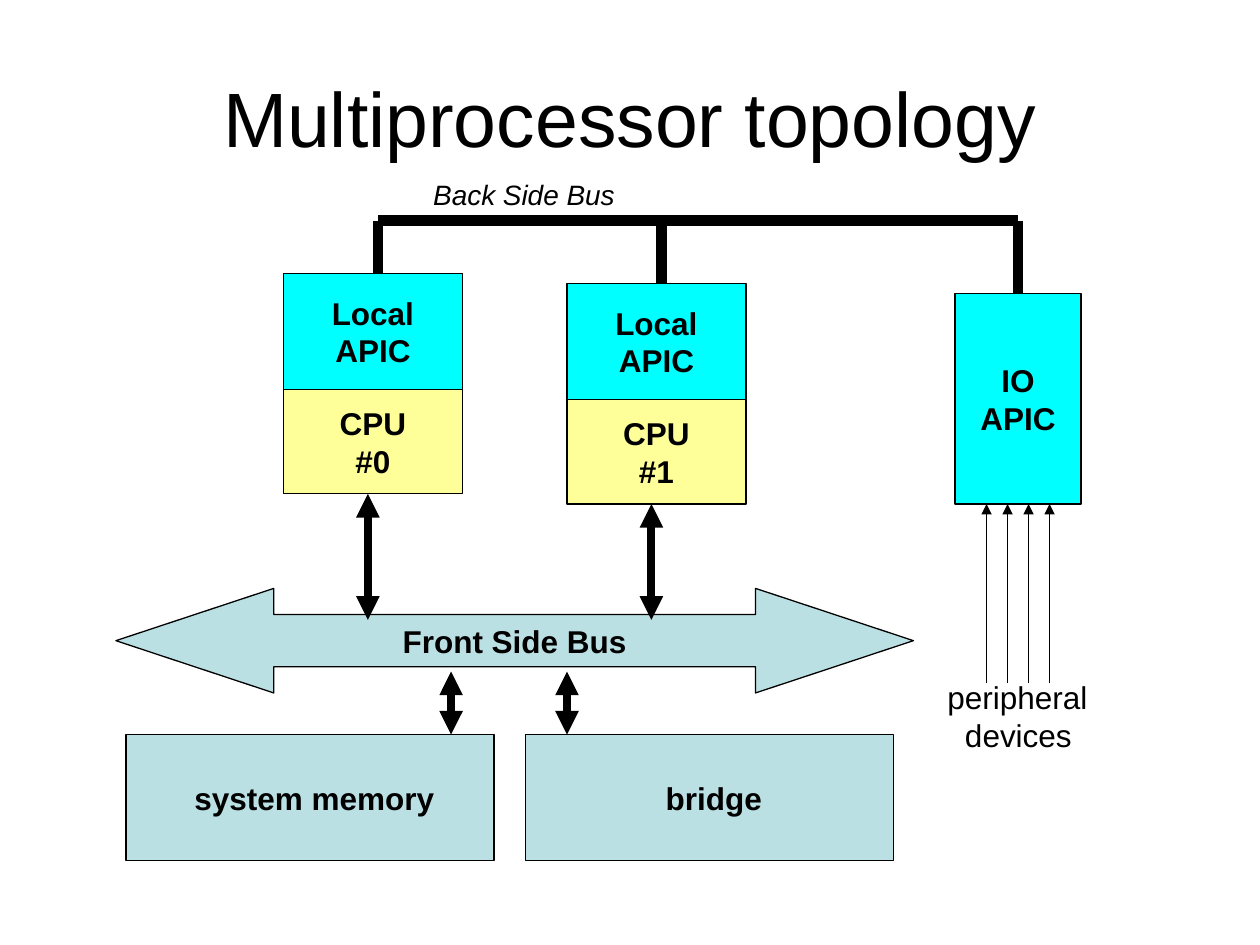
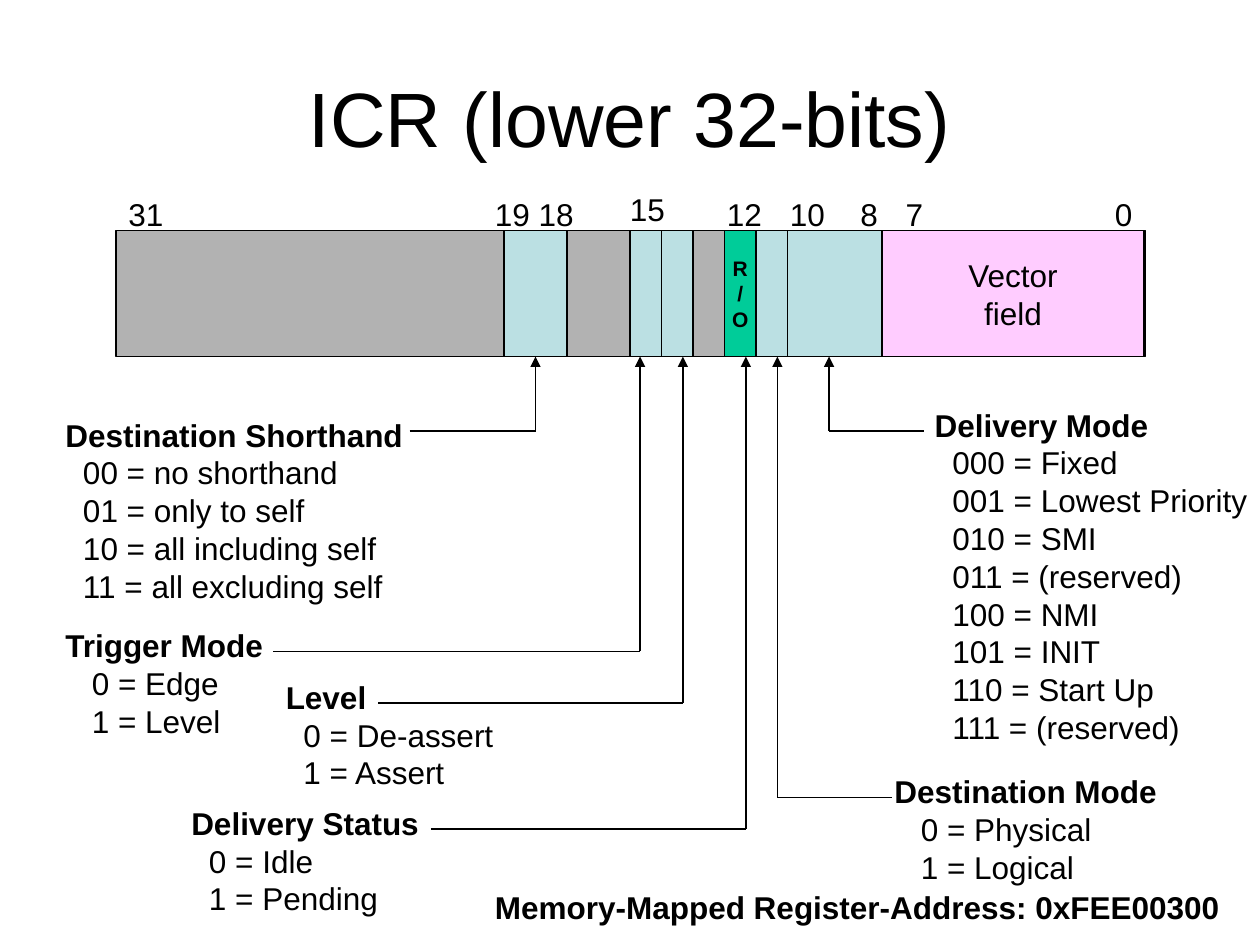
from lxml import etree
from pptx import Presentation
from pptx.dml.color import RGBColor
from pptx.enum import shapes, text
from pptx.oxml import ns
from pptx.util import Inches, Pt

FONT = "Arial"
BLACK, CYAN, YELLOW, PALE = "000000", "00FFFF", "FFFF99", "BBE0E3"
GREY, PINK, GREEN = "B2B2B2", "FFCCFF", "00CC99"
SPACE = 0.07  # one indent step, in inches
BIT = 0.25  # width of one register bit
REGISTER_TOP, REGISTER_HEIGHT = 1.83, 1
REGISTER_BOTTOM = REGISTER_TOP + REGISTER_HEIGHT
TOP, BOTTOM = 0, 2  # connection sites of a rectangle


def colour(value):
    return RGBColor.from_string(value)


# Text
def add_line(frame, number, words, size=18, bold=False, italic=False,
             align=text.PP_ALIGN.LEFT, indent=0):
    paragraph = frame.add_paragraph() if number else frame.paragraphs[0]
    paragraph.alignment = align
    if indent:
        properties = paragraph._p.get_or_add_pPr()
        properties.set("marL", str(Inches(indent)))
        properties.set("indent", "0")
    run = paragraph.add_run()
    run.text = words
    font = run.font
    font.name, font.size, font.bold, font.italic = FONT, Pt(size), bold, italic
    font.color.rgb = colour(BLACK)


def add_label(slide, left, top, width, height, lines, indent=0, heading=False, **style):
    """Unwrapped text; lines after the first are indented."""
    box = slide.shapes.add_textbox(Inches(left), Inches(top), Inches(width), Inches(height))
    frame = box.text_frame
    frame.word_wrap = False
    frame.auto_size = text.MSO_AUTO_SIZE.SHAPE_TO_FIT_TEXT
    for number, words in enumerate(lines):
        add_line(frame, number, words, bold=heading and number == 0,
                 indent=indent if number else 0, **style)


def add_title(slide, words):
    box = slide.shapes.add_textbox(Inches(0.5), Inches(0.3), Inches(9), Inches(1.25))
    frame = box.text_frame
    frame.word_wrap = True
    frame.vertical_anchor = text.MSO_ANCHOR.MIDDLE
    add_line(frame, 0, words, size=44, align=text.PP_ALIGN.CENTER)


# Shapes and lines
def add_block(slide, left, top, width, height, fill, lines=(), size=18, bold=True,
              indent=0, kind=shapes.MSO_SHAPE.RECTANGLE):
    block = slide.shapes.add_shape(kind, Inches(left), Inches(top),
                                   Inches(width), Inches(height))
    block.shadow.inherit = False
    block.fill.solid()
    block.fill.fore_color.rgb = colour(fill)
    block.line.color.rgb = colour(BLACK)
    block.line.width = Pt(0.75)
    frame = block.text_frame
    frame.word_wrap = False
    frame.vertical_anchor = text.MSO_ANCHOR.MIDDLE
    for number, words in enumerate(lines):
        add_line(frame, number, words, size, bold, align=text.PP_ALIGN.CENTER, indent=indent)
    return block


def add_wire(slide, start, end, width=0.75, arrows=()):
    """Straight line; arrows may hold headEnd and tailEnd, in that order."""
    wire = slide.shapes.add_connector(shapes.MSO_CONNECTOR.STRAIGHT,
                                      *map(Inches, (*start, *end)))
    wire.line.color.rgb = colour(BLACK)
    wire.line.width = Pt(width)
    outline = wire.line._get_or_add_ln()
    for arrow in arrows:
        etree.SubElement(outline, ns.qn(f"a:{arrow}")).set("type", "triangle")
    etree.SubElement(wire._element.spPr, ns.qn("a:effectLst"))
    return wire


def add_two_way(slide, x, top, bottom):
    add_wire(slide, (x, top), (x, bottom), 4.5, ("headEnd", "tailEnd"))


def add_processor(slide, number, left, top):
    add_block(slide, left, top + 0.92, 1.42, 0.83, YELLOW, ["CPU", f"#{number}"])
    add_block(slide, left, top, 1.42, 0.92, CYAN, ["Local", "APIC"])
    add_two_way(slide, left + 0.67, top + 1.75, 4.92)


# Register parts
def bit_left(bit):
    return 9 - BIT * (bit + 1)


def add_field(slide, high, low, fill, lines=(), **style):
    return add_block(slide, bit_left(high), REGISTER_TOP, BIT * (high - low + 1),
                     REGISTER_HEIGHT, fill, lines, **style)


def add_callout(slide, place, lines, steps, wire_start, field_x, wire_y):
    """Field description with an elbow of two lines up to the register."""
    add_label(slide, *place, lines, indent=steps * SPACE, heading=True)
    add_wire(slide, (wire_start, wire_y), (field_x, wire_y))
    return add_wire(slide, (field_x, wire_y), (field_x, REGISTER_BOTTOM), arrows=["tailEnd"])


def build_topology(slide):
    add_title(slide, "Multiprocessor topology")

    # Front side bus, memory and bridge
    front_bus = add_block(slide, 0.92, 4.67, 6.33, 0.83, PALE, ["Front Side Bus"],
                          kind=shapes.MSO_SHAPE.LEFT_RIGHT_ARROW)
    front_bus.adjustments[0], front_bus.adjustments[1] = 0.5, 1.51
    for left, name, link_x in [(1, "system memory", 3.58), (4.17, "bridge", 4.5)]:
        add_block(slide, left, 5.83, 2.92, 1, PALE, [name], indent=SPACE)
        add_two_way(slide, link_x, 5.33, 5.83)

    # Back side bus, processors and interrupt controllers
    bus_y, io_x = 1.75, 8.08
    add_wire(slide, (3, bus_y), (io_x, bus_y), 6)
    for number, (left, top) in enumerate([(2.25, 2.17), (4.5, 2.25)]):
        add_wire(slide, (left + 0.75, bus_y), (left + 0.75, top), 6)
        add_processor(slide, number, left, top)
    io_apic = add_block(slide, io_x - 0.5, 2.33, 1, 1.67, CYAN, ["IO", "APIC"])
    add_wire(slide, (io_x, bus_y), (io_x, 2.33), 6).end_connect(io_apic, TOP)
    add_label(slide, 3.34, 1.36, 1.64, 0.37, ["Back Side Bus"], size=16, italic=True)

    # Peripheral interrupt lines
    for line in range(4):
        x = 7.83 + line * 0.5 / 3
        add_wire(slide, (x, 5.42), (x, 4), arrows=["tailEnd"])
    add_label(slide, 7.42, 5.33, 1.38, 0.7, ["peripheral", "devices"], indent=2 * SPACE)


def build_register(slide):
    add_title(slide, "ICR (lower 32-bits)")

    # Register fields
    add_block(slide, 0.92, REGISTER_TOP, 8.17, REGISTER_HEIGHT, GREY)
    add_block(slide, bit_left(7), REGISTER_TOP, 2.08, REGISTER_HEIGHT, PINK,
              ["Vector", "field"], bold=False)
    shorthand = add_field(slide, 19, 18, PALE)
    for high, low in [(15, 15), (14, 14), (11, 11), (10, 8)]:
        add_field(slide, high, low, PALE)
    add_field(slide, 12, 12, GREEN, ["R", "/", "O"], size=12)

    # Bit numbers
    for bits, left, top, width in [
        ("31", 0.92, 1.5, 0.48), ("19 18", 3.83, 1.5, 0.86), ("15", 4.9, 1.46, 0.48),
        ("12", 5.67, 1.5, 0.48), ("10", 6.17, 1.5, 0.48), ("8", 6.73, 1.5, 0.34),
        ("7", 7.09, 1.5, 0.34), ("0", 8.75, 1.5, 0.34),
    ]:
        add_label(slide, left, top, width, 0.4, [bits])

    # Field descriptions
    add_callout(slide, (0.42, 3.25, 2.88, 1.6),
                ["Destination Shorthand", "00 = no shorthand", "01 = only to self",
                 "10 = all including self", "11 = all excluding self"],
                2, 3.25, 4.25, 3.42).end_connect(shorthand, BOTTOM)
    modes = ["Fixed", "Lowest Priority", "SMI", "(reserved)",
             "NMI", "INIT", "Start Up", "(reserved)"]
    add_callout(slide, (7.32, 3.17, 2.68, 2.8),
                ["Delivery Mode"] + [f"{code:03b} = {mode}" for code, mode in enumerate(modes)],
                2, 7.33, 6.58, 3.42)
    for name, clear, is_set, steps, left, top, width, wire_start, field_x, wire_y in [
        ("Trigger Mode", "Edge", "Level", 3, 0.42, 4.92, 1.78, 2.17, 5.08, 5.17),
        ("Level", "De-assert", "Assert", 2, 2.17, 5.33, 1.9, 3, 5.42, 5.58),
        ("Destination Mode", "Physical", "Logical", 3, 7, 6.08, 2.28, 7.08, 6.17, 6.33),
        ("Delivery Status", "Idle", "Pending", 2, 1.42, 6.33, 2.14, 3.42, 5.92, 6.58),
    ]:
        add_callout(slide, (left, top, width, 1), [name, f"0 = {clear}", f"1 = {is_set}"],
                    steps, wire_start, field_x, wire_y)
    add_label(slide, 3.83, 7, 5.95, 0.4, ["Memory-Mapped Register-Address: 0xFEE00300"],
              heading=True)


def main():
    deck = Presentation()
    deck.slide_width, deck.slide_height = Inches(10), Inches(7.5)
    for build in (build_topology, build_register):
        build(deck.slides.add_slide(deck.slide_layouts[6]))
    deck.save("out.pptx")


if __name__ == "__main__":
    main()
